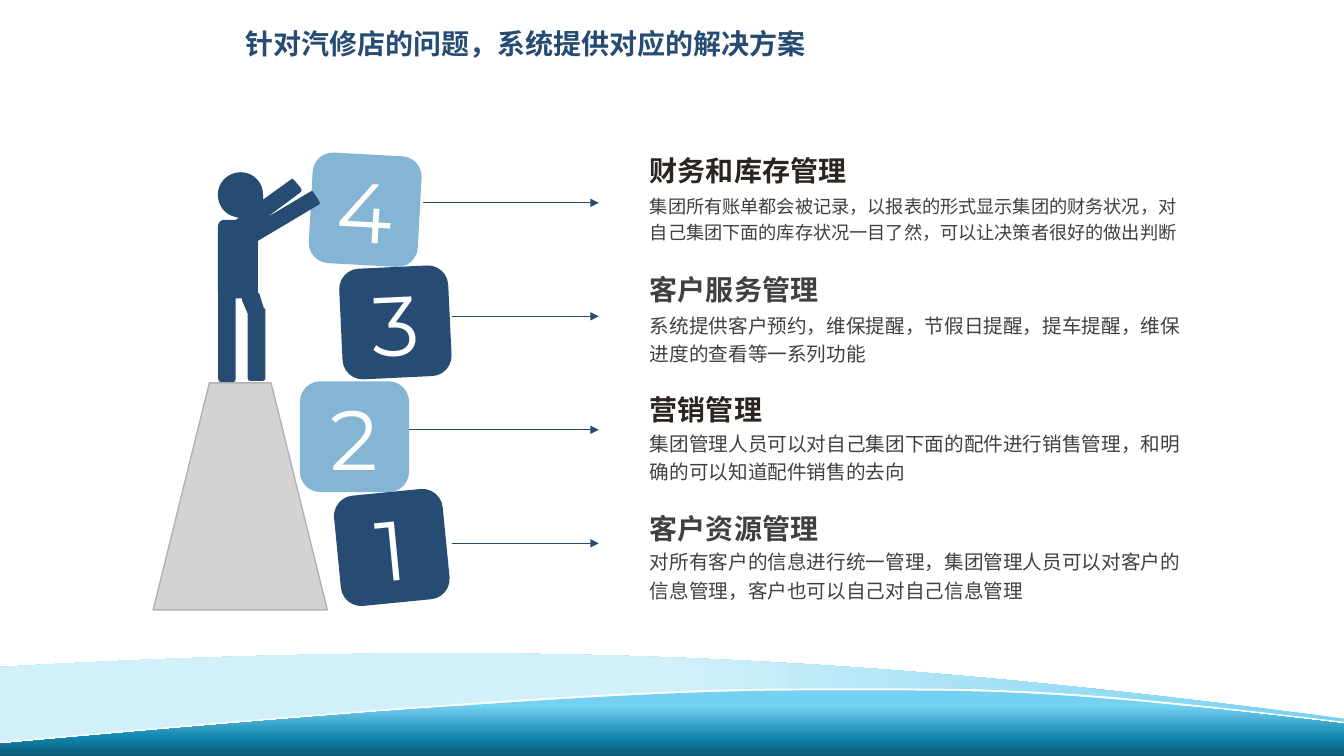
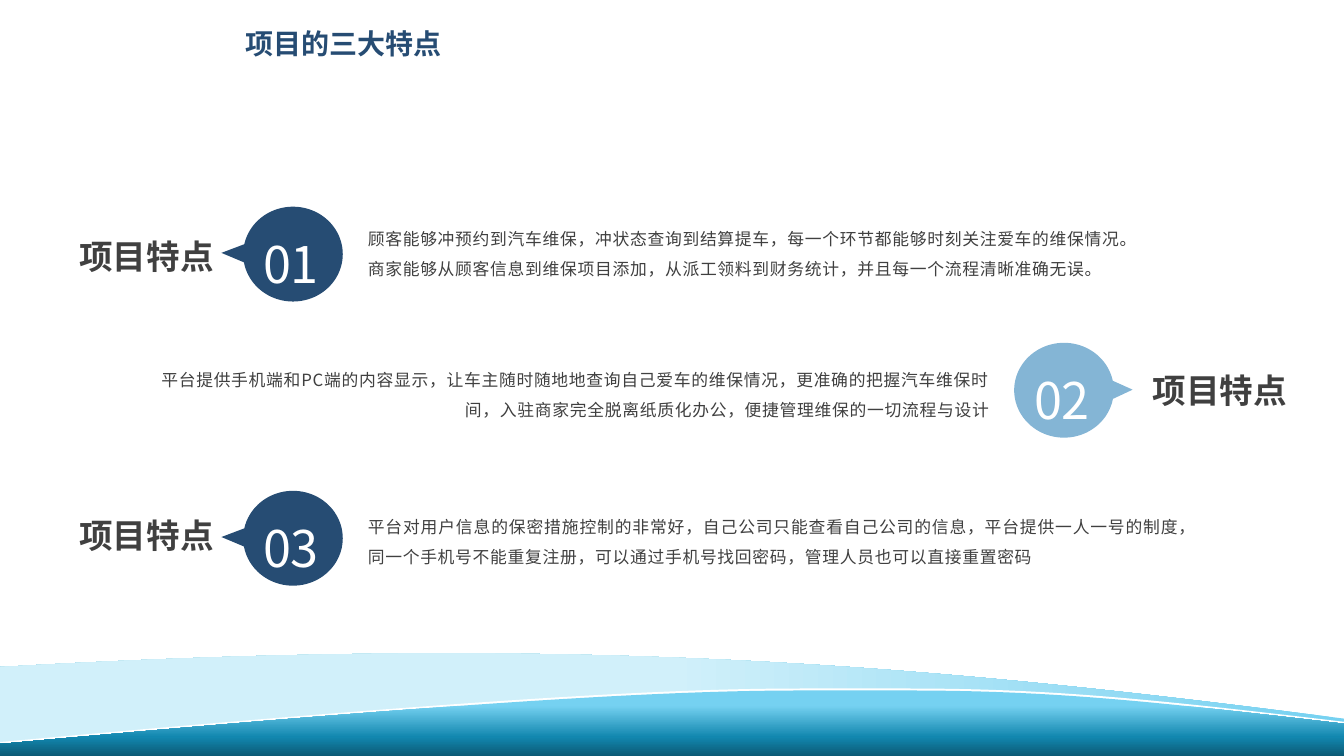
"""Build two slides on a car repair system: its solutions and its three features."""
from copy import deepcopy

from lxml.etree import SubElement
from pptx import Presentation
from pptx.dml.color import RGBColor
from pptx.enum.shapes import MSO_CONNECTOR, MSO_SHAPE
from pptx.enum.text import MSO_ANCHOR, MSO_AUTO_SIZE, PP_ALIGN
from pptx.oxml.ns import qn
from pptx.util import Cm, Pt

HUES = {
    "navy": "264C73", "sky": "84B5D5", "white": "FFFFFF", "ink": "2B2420",
    "text": "404040", "stone": "D3D3D3", "edge": "B2B2B2",
    "aqua": "75D1F1", "pale": "D1F0FA", "sea": "1287AF", "deep": "0C5A75",
}
WIDE, HIGH = 33.87, 19.05
HAN = "Noto Sans CJK SC"

FONTS = {
    "title": {"size": Pt(20), "name": "Arial", "bold": True},
    "head": {"size": Pt(20), "name": "Montserrat", "bold": True},
    "body": {"size": Pt(14), "name": "Montserrat"},
    "tight": {"size": Pt(13), "name": "Montserrat"},
    "block": {"size": Pt(60), "name": "Montserrat"},
    "number": {"size": Pt(36), "name": HAN},
    "note": {"size": Pt(12), "name": HAN},
    "label": {"size": Pt(24), "name": "Montserrat", "bold": True},
}
FLUSH = dict.fromkeys(
    ("margin_left", "margin_top", "margin_right", "margin_bottom"), 0)
MIDDLE = {"vertical_anchor": MSO_ANCHOR.MIDDLE}
GROW = {"auto_size": MSO_AUTO_SIZE.SHAPE_TO_FIT_TEXT}
LOOSE = {**GROW, "word_wrap": False}

TITLES = ["针对汽修店的问题，系统提供对应的解决方案", "项目的三大特点"]

PLANS = [
    {"head": "财务和库存管理", "ink": "ink", "font": "tight", "start": 10.65,
     "body": "集团所有账单都会被记录，以报表的形式显示集团的财务状况，对自己集团下面的库存状况一目了然，可以让决策者很好的做出判断"},
    {"head": "客户服务管理", "ink": "text", "font": "body", "start": 11.38,
     "body": "系统提供客户预约，维保提醒，节假日提醒，提车提醒，维保进度的查看等一系列功能"},
    {"head": "营销管理", "ink": "ink", "font": "body", "start": 10.31,
     "body": "集团管理人员可以对自己集团下面的配件进行销售管理，和明确的可以知道配件销售的去向"},
    {"head": "客户资源管理", "ink": "text", "font": "body", "start": 11.38,
     "body": "对所有客户的信息进行统一管理，集团管理人员可以对客户的信息管理，客户也可以自己对自己信息管理"},
]
BLOCKS = [
    ("3", 8.59, 6.73, 357.3, "navy"), ("4", 7.83, 3.89, 3.1, "sky"),
    ("2", 7.56, 9.61, 0, "sky"), ("1", 8.5, 12.4, 354.4, "navy"),
]
LEFT = {"ball": 6.13, "tip": (-0.719, -0.013), "hue": "navy",
        "x": 9.02, "wide": 20.96, "align": PP_ALIGN.JUSTIFY, "label": 1.75}
RIGHT = {"ball": 25.56, "tip": (0.689, -0.006), "hue": "sky",
         "x": 3.73, "wide": 21.46, "align": PP_ALIGN.RIGHT, "label": 28.8}
TRAITS = [
    ("01", LEFT, 5.21, 5.39, 5.82,
     ["顾客能够冲预约到汽车维保，冲状态查询到结算提车，每一个环节都能够时刻关注爱车的维保情况。",
      "商家能够从顾客信息到维保项目添加，从派工领料到财务统计，并且每一个流程清晰准确无误。"]),
    ("02", RIGHT, 8.64, 8.93, 9.19,
     ["平台提供手机端和PC端的内容显示，让车主随时随地地查询自己爱车的维保情况，更准确的把握汽车维保时间，入驻商家完全脱离纸质化办公，便捷管理维保的一切流程与设计"]),
    ("03", LEFT, 12.37, 12.64, 12.85,
     ["平台对用户信息的保密措施控制的非常好，自己公司只能查看自己公司的信息，平台提供一人一号的制度，同一个手机号不能重复注册，可以通过手机号找回密码，管理人员也可以直接重置密码"]),
]

SWELL = [
    (0, 16.81), (15.04, 15.95, 23.7, 16.81, WIDE, 18.11),
    (WIDE, 18.69, WIDE, 18.01, WIDE, 18.62),
    (22.15, 16.28, 12.27, 18.24, 0, 18.82), (0, 16.81),
]
CREST = [
    (0, 18.75), (13.18, 17.55, 17.48, 17.4, 20.27, 17.4),
    (21.21, 17.4, 21.97, 17.4, 22.83, 17.4),
    (26.31, 17.4, 28.73, 17.63, WIDE, 18.24),
]
PERSON = [
    (6.07, 4.34), (6.38, 4.34, 6.63, 4.6, 6.63, 4.9),
    (6.63, 4.95, 6.63, 4.98, 6.63, 5.03), (6.63, 5.03),
    (7.34, 4.52), (7.37, 4.5, 7.39, 4.5, 7.42, 4.55), (7.59, 4.75),
    (7.62, 4.78, 7.59, 4.83, 7.57, 4.85), (6.71, 5.49), (7.82, 4.83),
    (7.85, 4.8, 7.9, 4.8, 7.9, 4.85), (8.05, 5.08),
    (8.08, 5.11, 8.05, 5.16, 8.03, 5.16), (6.5, 6.07), (6.5, 7.34),
    (6.5, 7.39), (6.53, 7.39), (6.65, 7.77), (6.68, 7.77),
    (6.68, 7.8, 6.69, 7.82, 6.69, 7.82), (6.69, 9.53),
    (6.69, 9.58, 6.65, 9.6, 6.62, 9.6), (6.32, 9.6),
    (6.27, 9.6, 6.24, 9.58, 6.24, 9.53), (6.24, 7.9), (6.1, 7.57),
    (6.1, 7.52), (5.94, 7.52), (5.94, 9.55),
    (5.94, 9.6, 5.92, 9.63, 5.87, 9.63), (5.58, 9.63),
    (5.53, 9.63, 5.5, 9.6, 5.5, 9.55), (5.5, 7.44), (5.5, 7.42),
    (5.5, 7.42), (5.49, 7.39, 5.49, 7.37, 5.49, 7.34),
    (5.49, 5.72), (5.49, 5.61, 5.56, 5.54, 5.66, 5.54), (5.94, 5.54),
    (6.02, 5.49), (5.84, 5.44), (5.64, 5.36, 5.49, 5.16, 5.49, 4.9),
    (5.49, 4.6, 5.74, 4.34, 6.07, 4.34),
]


def color(hue):
    return RGBColor.from_string(HUES[hue])


def reach(route, axis):
    values = [route[0][axis]]
    for part in route[1:]:
        a, d = values[-1], part[axis - 2]
        if len(part) == 6:
            b, c = part[axis], part[axis + 2]
            values += [(1 - t) ** 3 * a + 3 * t * (1 - t) ** 2 * b
                       + 3 * t * t * (1 - t) * c + t ** 3 * d
                       for t in (n / 40 for n in range(1, 40))]
        values.append(d)
    return min(values), max(values)


def lift(route, rise):
    return [tuple(v - rise * (n % 2) for n, v in enumerate(part))
            for part in route]


def back(route):
    trip = [route[-1][-2:]]
    for last, part in reversed(list(zip(route, route[1:]))):
        trip.append((*part[2:4], *part[:2], *last[-2:]))
    return trip


def paint(shape, hue, edge=None):
    shape.shadow.inherit = False
    shape.fill.solid()
    shape.fill.fore_color.rgb = color(hue)
    if edge:
        shape.line.color.rgb = color(edge)
        shape.line.width = Pt(1)
    else:
        shape.line.fill.background()
    return shape


def blend(shape, angle, stops):
    fill = shape.fill
    fill.gradient()
    fill.gradient_angle = angle
    rack = shape._element.spPr.find(".//" + qn("a:gsLst"))
    rack.append(deepcopy(rack[0]))
    for stop, (place, hue) in zip(fill.gradient_stops, stops):
        stop.position = place
        stop.color.rgb = color(hue)


def trace(slide, route, hue):
    (left, right), (top, low) = reach(route, 0), reach(route, 1)
    pen = slide.shapes.build_freeform(Cm(left), Cm(top), scale=1.0)
    pen.add_line_segments([(Cm(right), Cm(top)), (Cm(right), Cm(low))])
    item = pen.convert_to_shape()
    trail = item._element.spPr.find(".//" + qn("a:path"))
    for step in list(trail):
        trail.remove(step)
    for spot, part in enumerate(route):
        kind = "cubicBezTo" if len(part) == 6 else "lnTo" if spot else "moveTo"
        step = SubElement(trail, qn("a:" + kind))
        for x, y in zip(part[::2], part[1::2]):
            SubElement(step, qn("a:pt"), x=str(int(Cm(x - left))),
                       y=str(int(Cm(y - top))))
    SubElement(trail, qn("a:close"))
    return paint(item, hue)


def shape(slide, kind, box, hue, tweaks, edge=None):
    item = slide.shapes.add_shape(kind, *map(Cm, box))
    for spot, value in enumerate(tweaks):
        item.adjustments[spot] = value
    return paint(item, hue, edge)


def write(item, lines, font, hue, frame=None, space=None, align=None, gap=0):
    body = item.text_frame
    for key, value in {"word_wrap": True, **(frame or {})}.items():
        setattr(body, key, value)
    for spot, line in enumerate(lines):
        para = body.add_paragraph() if spot else body.paragraphs[0]
        for key, value in {"alignment": align, "line_spacing": space}.items():
            setattr(para, key, value)
        run = para.add_run()
        run.text = line
        for key, value in FONTS[font].items():
            setattr(run.font, key, value)
        run.font.color.rgb = color(hue)
        traits = run._r.get_or_add_rPr()
        SubElement(traits, qn("a:ea"), typeface=HAN)
        if gap:
            traits.set("spc", str(gap))


def label(slide, box, lines, font, hue, **style):
    write(slide.shapes.add_textbox(*map(Cm, box)), lines, font, hue, **style)


def arrow(slide, start, end, y):
    line = slide.shapes.add_connector(
        MSO_CONNECTOR.STRAIGHT, Cm(start), Cm(y), Cm(end), Cm(y))
    line.line.color.rgb = color("navy")
    line.line.width = Pt(0.5)
    props = line._element.spPr
    SubElement(props.find(qn("a:ln")), qn("a:tailEnd"), type="triangle")
    SubElement(props, qn("a:effectLst"))


def begin(deck, title):
    slide = deck.slides.add_slide(deck.slide_layouts[6])
    blend(trace(slide, SWELL, "pale"), 180,
          [(0, "aqua"), (0.5, "pale"), (1, "pale")])
    low = back(lift(CREST, -0.2))
    trace(slide, lift(CREST, 0.05) + low, "white")
    blend(trace(slide, CREST + [(WIDE, HIGH), (0, HIGH)], "sea"), 270,
          [(0.23, "aqua"), (0.71, "sea"), (1, "deep")])
    label(slide, (5.93, 0.28, 0.51 + 0.71 * len(title), 1.37), [title],
          "title", "navy", frame=LOOSE, space=1.3)
    return slide


def solve(slide):
    for digit, x, y, turn, hue in BLOCKS:
        block = shape(slide, MSO_SHAPE.ROUNDED_RECTANGLE, (x, y, 2.75, 2.79),
                      hue, [0.186])
        block.rotation = turn
        write(block, [digit], "block", "white", MIDDLE, align=PP_ALIGN.CENTER)
    trace(slide, PERSON, "navy")
    shape(slide, MSO_SHAPE.TRAPEZOID, (3.86, 9.65, 4.39, 5.72), "stone",
          [0.323], "edge")
    for row, plan in enumerate(PLANS):
        arrow(slide, plan["start"], 15.09, 5.11 + 2.86 * row)
        label(slide, (16.38, 4.81 + 2.98 * row, 13.61, 1.52), [plan["body"]],
              plan["font"], "text", frame=FLUSH, space=1.2)
        label(slide, (16.38, 3.53 + 3.01 * row, 8.92, 1.27), [plan["head"]],
              "head", plan["ink"], frame={**FLUSH, **MIDDLE}, space=1.3)


def feature(slide):
    for digits, side, top, note, name, lines in TRAITS:
        shape(slide, MSO_SHAPE.OVAL_CALLOUT, (side["ball"], top, 2.51, 2.39),
              side["hue"], side["tip"])
        label(slide, (side["ball"] + 0.25, top - 0.23, 2.03, 2.29), [digits],
              "number", "white", frame=GROW, space=1.5, align=PP_ALIGN.JUSTIFY)
        label(slide, (side["x"], note, side["wide"], 1.8), lines, "note",
              "text", frame=GROW, space=1.5, align=side["align"], gap=50)
        label(slide, (side["label"], name, 3.94, 1.27), ["项目特点"],
              "label", "text", frame=LOOSE)


def main():
    deck = Presentation()
    deck.slide_width, deck.slide_height = Cm(WIDE), Cm(HIGH)
    for title, fill in zip(TITLES, (solve, feature)):
        fill(begin(deck, title))
    deck.save("out.pptx")


if __name__ == "__main__":
    main()
